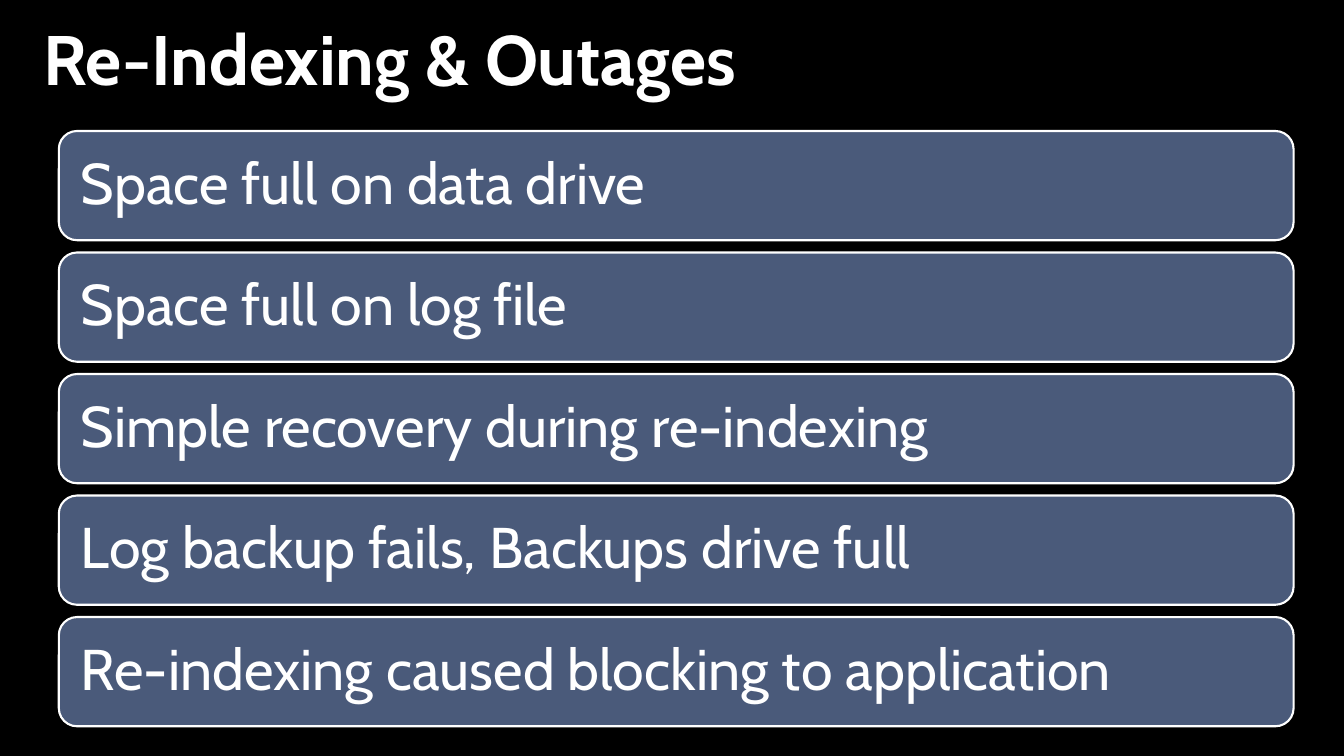
from pptx import Presentation
from pptx.dml.color import RGBColor
from pptx.enum.shapes import MSO_SHAPE as Kind
from pptx.enum.text import MSO_ANCHOR as Anchor, PP_ALIGN as Align
from pptx.util import Pt

BLACK, WHITE, SLATE = "000000", "FFFFFF", "4A5A7A"
CAUSES = [
    "Space full on data drive",
    "Space full on log file",
    "Simple recovery during re-indexing",
    "Log backup fails, Backups drive full",
    "Re-indexing caused blocking to application",
]
TOP, PITCH = 93.6, 86.8


def paint(target, color):
    """Give a fill or line fill one solid colour."""
    target.solid()
    target.fore_color.rgb = RGBColor.from_string(color)


class Deck:
    """Holds the style and the current slide."""

    font = "Cabin"
    border = 1.5

    def __init__(self, prs):
        """Add a blank slide with a black background."""
        self.slide = prs.slides.add_slide(prs.slide_layouts[6])
        paint(self.slide.background.fill, BLACK)

    def box(self, kind, place, fill, line):
        """Draw a filled shape with a border."""
        shape = self.slide.shapes.add_shape(kind, *map(Pt, place))
        shape.shadow.inherit = False
        paint(shape.fill, fill)
        paint(shape.line.fill, line)
        shape.line.width = Pt(self.border)
        return shape

    def label(self, shape, text, size, bold=False):
        """Put one left-aligned white line of text in a shape."""
        frame = shape.text_frame
        frame.text = text
        frame.word_wrap = True
        para = frame.paragraphs[0]
        para.alignment = Align.LEFT
        font = para.runs[0].font
        font.name, font.size, font.bold = self.font, Pt(size), bold
        paint(font.fill, WHITE)
        return frame

    def title(self, text):
        """Add the slide heading."""
        shape = self.box(Kind.RECTANGLE, (24, 6, 822, 60), BLACK, BLACK)
        frame = self.label(shape, text, 50, True)
        frame.vertical_anchor = Anchor.TOP
        frame.margin_top = Pt(5)

    def card(self, text, top):
        """Draw one rounded card with its text."""
        place = (42, top, 882, 78)
        shape = self.box(Kind.ROUNDED_RECTANGLE, place, SLATE, WHITE)
        frame = self.label(shape, text, 41)
        frame.vertical_anchor = Anchor.MIDDLE
        frame.margin_left = frame.margin_right = Pt(12)
        frame.paragraphs[0].line_spacing = 0.9


prs = Presentation()
prs.slide_width, prs.slide_height = Pt(960), Pt(540)
deck = Deck(prs)
deck.title("Re-Indexing & Outages")
for row, cause in enumerate(CAUSES):
    deck.card(cause, TOP + row * PITCH)
prs.save("out.pptx")
